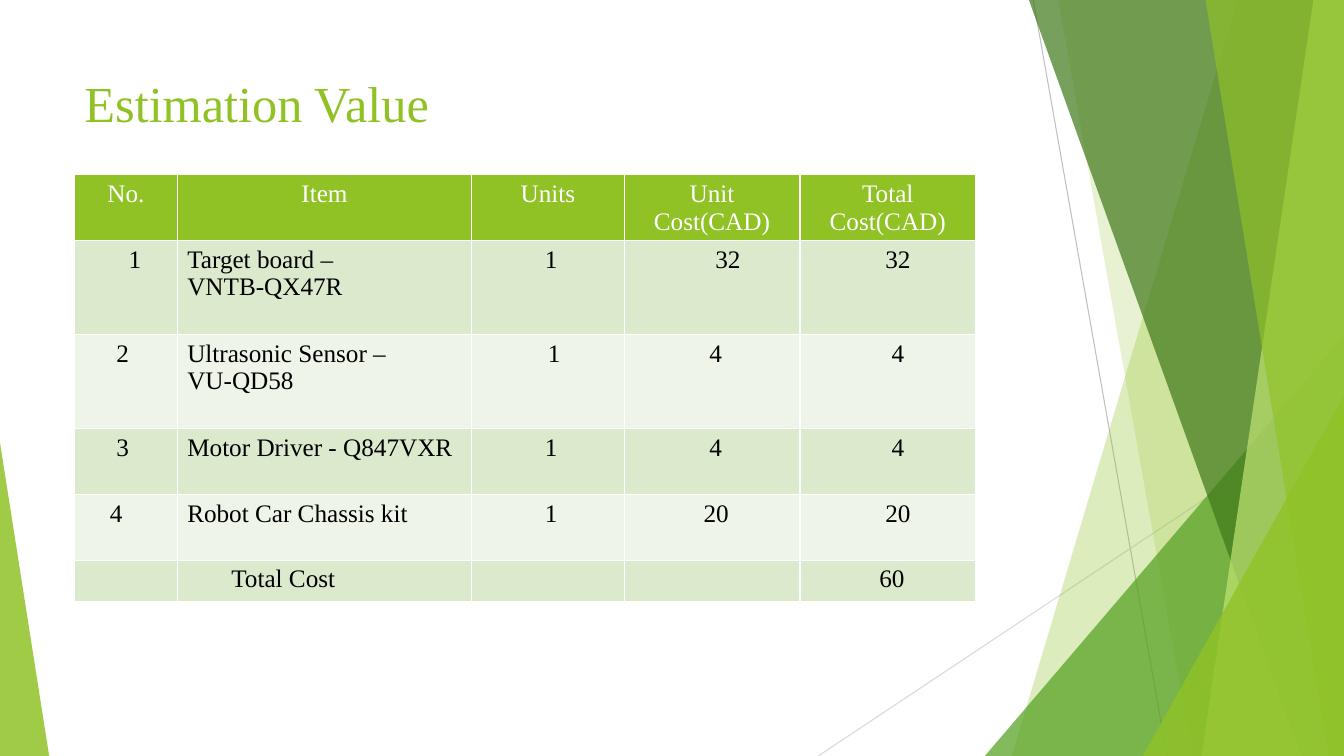
from lxml import etree
from pptx import Presentation
from pptx.dml.color import RGBColor
from pptx.enum.shapes import MSO_CONNECTOR, MSO_SHAPE
from pptx.enum.text import MSO_ANCHOR, PP_ALIGN
from pptx.oxml.ns import qn
from pptx.util import Cm, Pt

LINE, TRIANGLE = MSO_CONNECTOR.STRAIGHT, MSO_SHAPE.ISOSCELES_TRIANGLE
LEFT, CENTER, TOP = PP_ALIGN.LEFT, PP_ALIGN.CENTER, MSO_ANCHOR.TOP
FONT = "Times New Roman"
GREEN, WHITE, BLACK = "90C226", "FFFFFF", "000000"
BANDS = ("DBE9CD", "EEF4E8")
WIDTH, HEIGHT = 33.87, 19.05

TITLE = "Estimation Value"
HEADER = ("No.", "Item", "Units", "Unit Cost(CAD)", "Total Cost(CAD)")
# Each cell: text, extra indent in cm, alignment
ROWS = [
    [("1", 1.11, LEFT), ("Target board –\nVNTB-QX47R", 0, LEFT),
     ("1", 0.16, CENTER), ("32", 0.8, CENTER), ("32", 1.9, LEFT)],
    [("2", 0.8, LEFT), ("Ultrasonic Sensor –\nVU-QD58", 0, LEFT),
     ("1", 0.32, CENTER), ("4", 1.9, LEFT), ("4", 2.06, LEFT)],
    [("3", 0.8, LEFT), ("Motor Driver - Q847VXR", 0, LEFT),
     ("1", 0.16, CENTER), ("4", 1.9, LEFT), ("4", 2.06, LEFT)],
    [("4", 0.64, LEFT), ("Robot Car Chassis kit", 0, LEFT),
     ("1", 0.16, CENTER), ("20", 1.75, LEFT), ("20", 1.9, LEFT)],
    [("", 0, LEFT), ("Total Cost", 1.11, LEFT),
     ("", 0, LEFT), ("", 0, LEFT), ("60", 1.75, LEFT)],
]
COL_WIDTHS = (2.59, 7.42, 3.84, 4.43, 4.43)
ROW_HEIGHTS = (1.66, 2.37, 2.37, 1.66, 1.66, 1.04)

# Lines: x1, y1, x2, y2, colour
RAYS = [(26.04, 0, 29.41, HEIGHT, "BFBFBF"),
        (WIDTH, 10.24, 20.62, HEIGHT, "D9D9D9")]
# Facets, back to front. Wedge: left x at top, left x at bottom.
# Triangle: x, y, width, apex position.
FACETS = [
    ("wedge", (31.19, 25.5), GREEN, 30),
    ("wedge", (26.67, 30.05), GREEN, 20),
    ("triangle", (24.82, 8.46, 9.05, 1), "54A021", 72),
    ("wedge", (25.93, 32.79), "3F7819", 70),
    ("wedge", (33.1, 30.28), "C0E474", 70),
    ("wedge", (30.38, 33.48), GREEN, 65),
    ("triangle", (28.8, 9.98, 5.07, 1), GREEN, 80),
    ("triangle", (0, 11.15, 1.24, 0), GREEN, 85),
]


def rgb(color):
    """Turn a hex string into a colour."""
    return RGBColor.from_string(color)


def add_ray(x1, y1, x2, y2, color):
    """Draw a thin line without shadow."""
    s = slide.shapes.add_connector(LINE, Cm(x1), Cm(y1), Cm(x2), Cm(y2))
    s.line.color.rgb = rgb(color)
    s.line.width = Pt(0.75)
    etree.SubElement(s._element.spPr, qn("a:effectLst"))


def add_facet(kind, geometry, color, opacity):
    """Draw a translucent wedge or triangle reaching the slide's bottom."""
    if kind == "wedge":
        top_x, bottom_x = geometry
        builder = slide.shapes.build_freeform(Cm(top_x), 0)
        corners = [(WIDTH, 0), (WIDTH, HEIGHT), (bottom_x, HEIGHT)]
        builder.add_line_segments([(Cm(x), Cm(y)) for x, y in corners])
        s = builder.convert_to_shape()
    else:
        x, y, width, apex = geometry
        s = slide.shapes.add_shape(TRIANGLE, Cm(x), Cm(y), Cm(width), Cm(HEIGHT - y))
        s.adjustments[0] = apex
    s.shadow.inherit = False
    s.line.fill.background()
    s.fill.solid()
    s.fill.fore_color.rgb = rgb(color)
    clr = s._element.spPr.find(qn("a:solidFill"))[0]
    etree.SubElement(clr, qn("a:alpha"), val=str(opacity * 1000))


def write(tf, text, size, color, align=LEFT):
    """Write each line of text as a paragraph of one run."""
    for i, line in enumerate(text.split("\n")):
        p = tf.add_paragraph() if i else tf.paragraphs[0]
        p.alignment = align
        r = p.add_run()
        r.text = line
        r.font.name, r.font.size, r.font.bold = FONT, Pt(size), False
        r.font.color.rgb = rgb(color)


def fill_cell(cell, text, indent, align, fill, color):
    """Set a table cell's fill, indent and text."""
    cell.fill.solid()
    cell.fill.fore_color.rgb = rgb(fill)
    cell.margin_left = Cm(0.25 + indent)
    cell.margin_bottom = 0
    if text:
        write(cell.text_frame, text, 18, color, align)


def add_costs():
    """Build the cost table with a green header and banded rows."""
    s = slide.shapes.add_table(len(ROW_HEIGHTS), len(COL_WIDTHS), Cm(1.88), Cm(4.4),
                               Cm(sum(COL_WIDTHS)), Cm(sum(ROW_HEIGHTS)))
    table = s.table
    for column, width in zip(table.columns, COL_WIDTHS):
        column.width = Cm(width)
    for row, height in zip(table.rows, ROW_HEIGHTS):
        row.height = Cm(height)
    for c, label in enumerate(HEADER):
        fill_cell(table.cell(0, c), label, 0, CENTER, GREEN, WHITE)
    for r, row in enumerate(ROWS):
        for c, (text, indent, align) in enumerate(row):
            fill_cell(table.cell(r + 1, c), text, indent, align, BANDS[r % 2], BLACK)


prs = Presentation()
prs.slide_width, prs.slide_height = Cm(WIDTH), Cm(HEIGHT)
slide = prs.slides.add_slide(prs.slide_layouts[6])
for ray in RAYS:
    add_ray(*ray)
for facet in FACETS:
    add_facet(*facet)
title = slide.shapes.add_textbox(Cm(1.88), Cm(1.7), Cm(23.88), Cm(3.66))
title.text_frame.word_wrap = True
title.text_frame.vertical_anchor = TOP
write(title.text_frame, TITLE, 36, GREEN)
add_costs()
prs.save("out.pptx")
